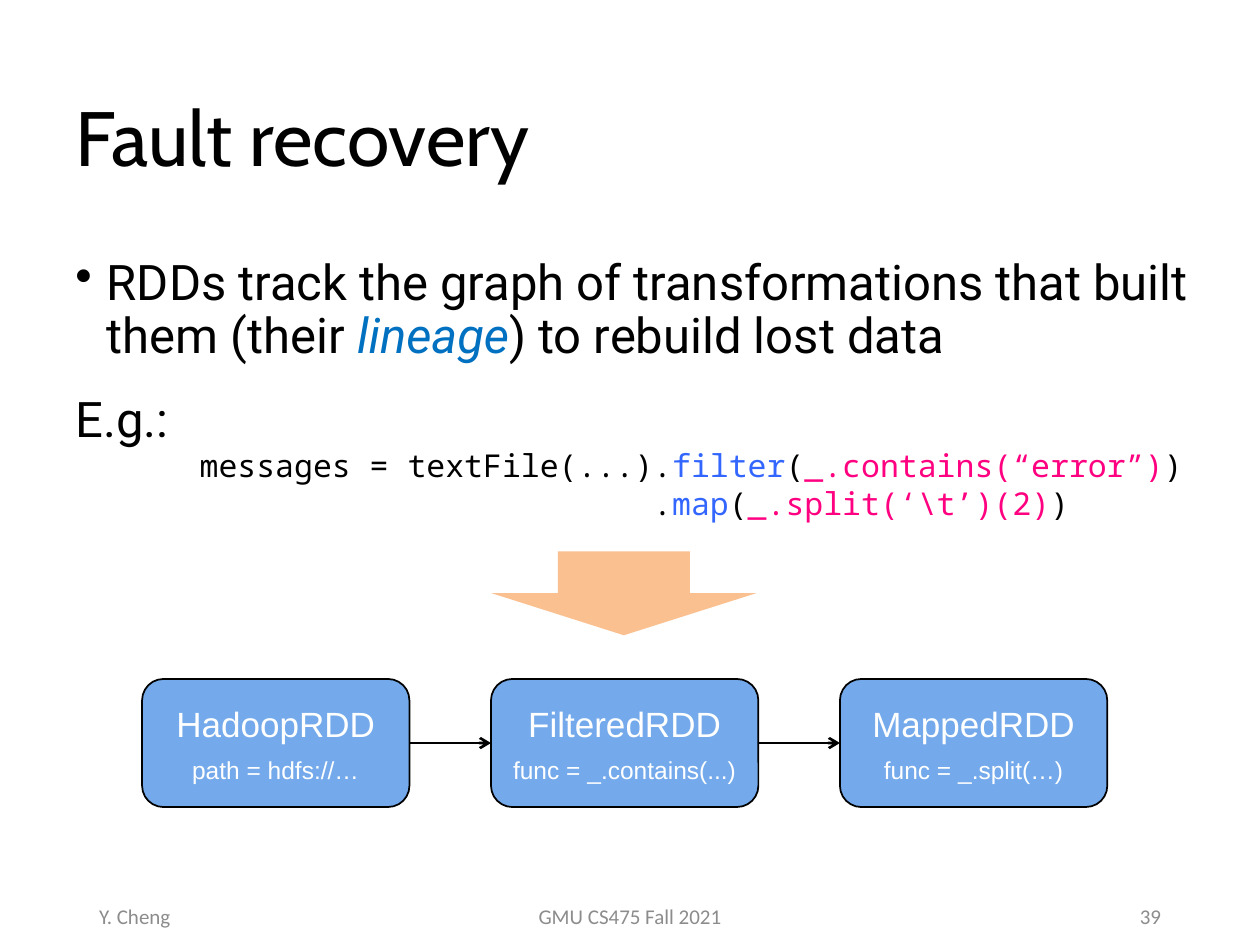
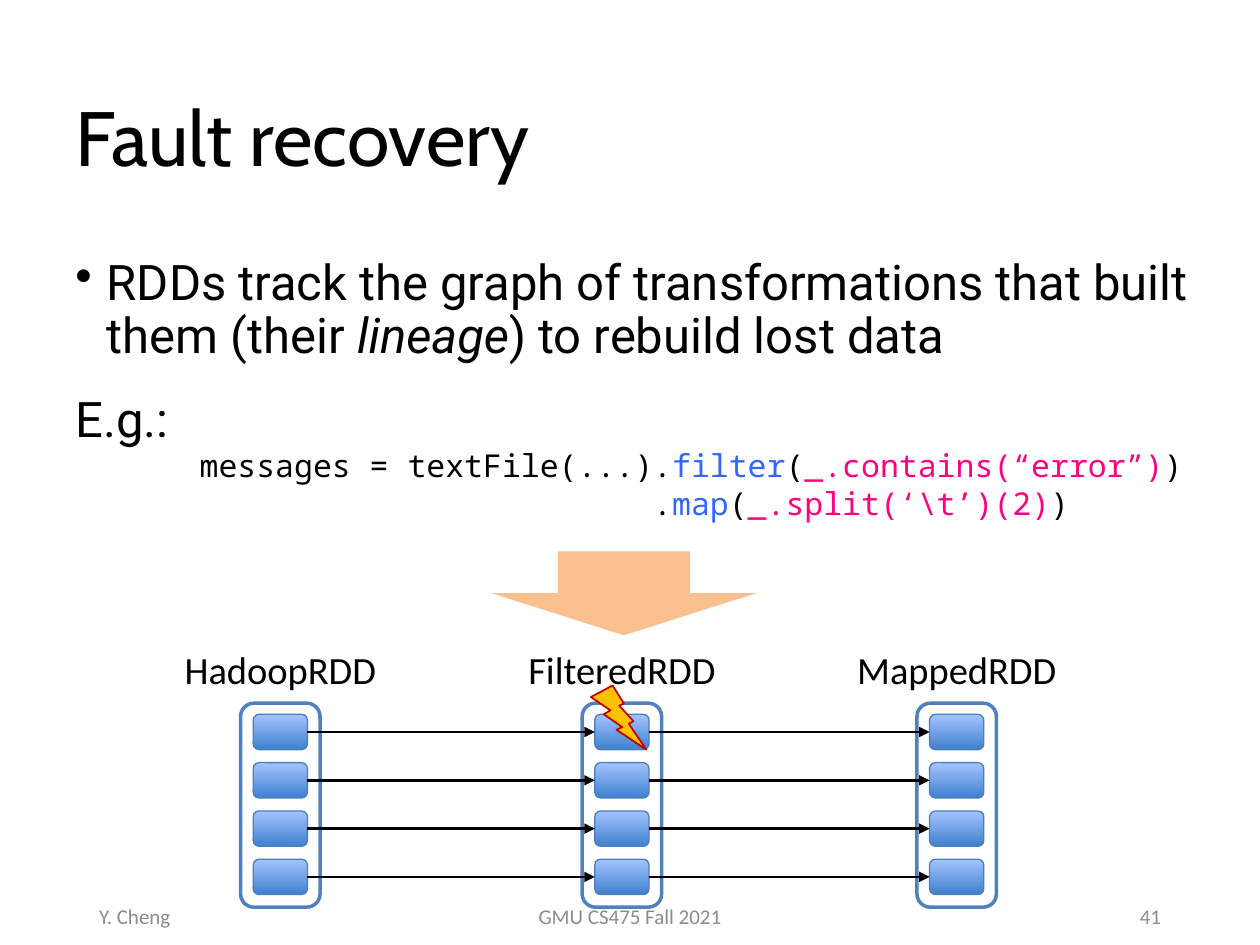
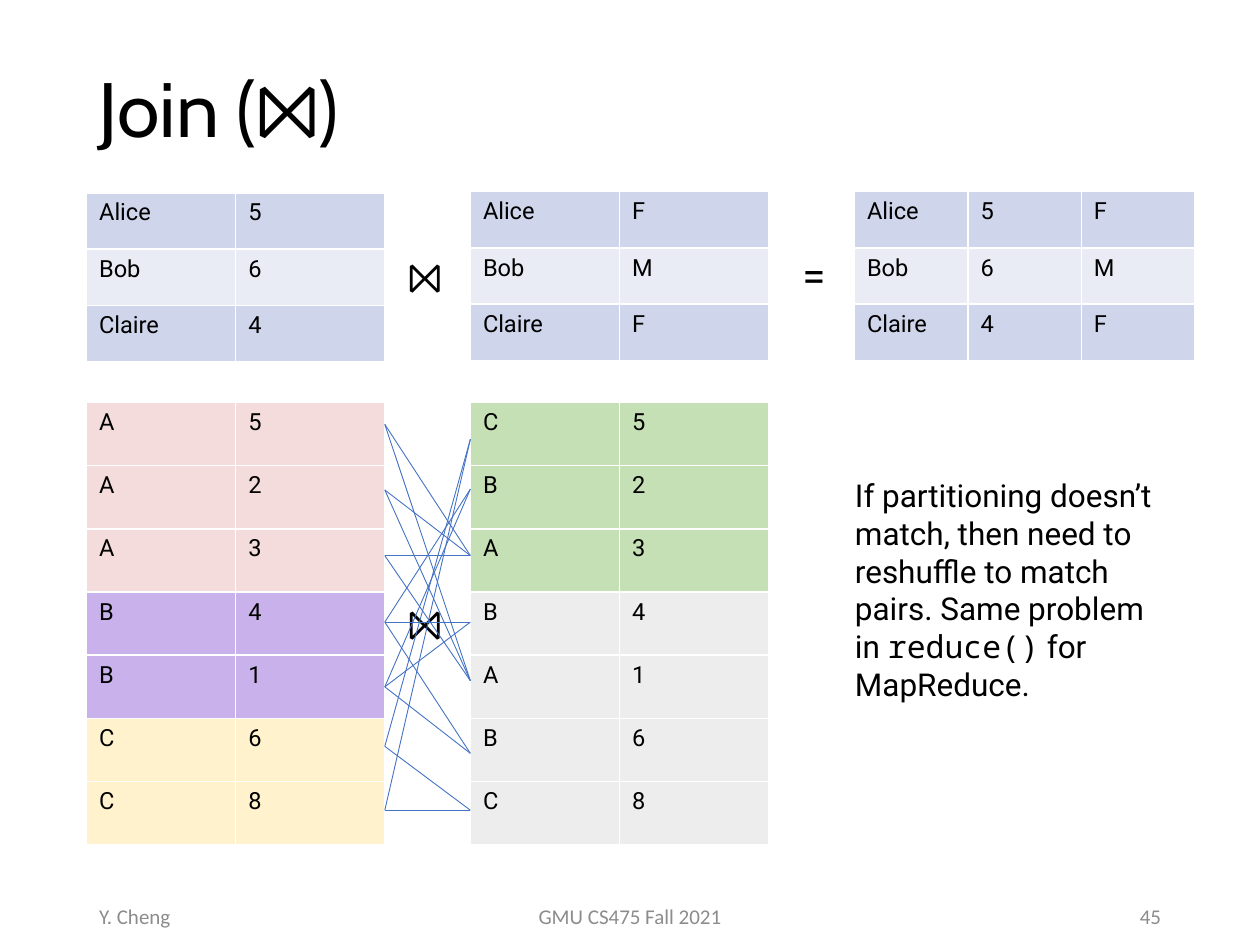
from itertools import pairwise, product

from lxml.etree import SubElement
from pptx import Presentation
from pptx.dml.color import RGBColor
from pptx.enum.shapes import MSO_CONNECTOR, MSO_SHAPE, MSO_SHAPE_TYPE
from pptx.enum.text import MSO_ANCHOR as ANCHOR, PP_ALIGN as ALIGN
from pptx.oxml.ns import qn
from pptx.util import Pt

BLACK = RGBColor(0x00, 0x00, 0x00)
WHITE = RGBColor(0xFF, 0xFF, 0xFF)
FOOTER_GRAY = RGBColor(0x8C, 0x8C, 0x8C)
LINEAGE_BLUE = RGBColor(0x00, 0x70, 0xC0)
CODE_BLUE = RGBColor(0x33, 0x66, 0xFF)
CODE_PINK = RGBColor(0xFF, 0x00, 0x80)
ARROW_ORANGE = RGBColor(0xFA, 0xC0, 0x90)
BOX_BLUE = RGBColor(0x74, 0xAA, 0xEB)
FRAME_BLUE = RGBColor(0x4F, 0x81, 0xBD)
PARTITION_EDGE = RGBColor(0x4B, 0x7E, 0xBC)
PARTITION_DARK = RGBColor(0x3F, 0x80, 0xCE)
PARTITION_LIGHT = RGBColor(0xA4, 0xC4, 0xFF)
BOLT_YELLOW = RGBColor(0xFF, 0xC0, 0x00)
BOLT_RED = RGBColor(0xC0, 0x00, 0x00)
MATCH_BLUE = RGBColor(0x44, 0x72, 0xC4)
BAND_DARK = RGBColor(0xCF, 0xD5, 0xEA)
BAND_LIGHT = RGBColor(0xE9, 0xEB, 0xF5)
ROSE = RGBColor(0xF3, 0xDC, 0xDB)
VIOLET = RGBColor(0xC9, 0xB2, 0xEC)
CREAM = RGBColor(0xFF, 0xF2, 0xCC)
GREEN = RGBColor(0xC5, 0xE0, 0xB4)
GRAY = RGBColor(0xED, 0xED, 0xED)

TITLE_FONT, BODY_FONT, CODE_FONT = "Cabin", "Roboto", "Noto Sans Mono"
FOOTER_FONT, BOX_FONT = "Calibri", "Arial"


def write(shape, paragraphs, font, size, color=BLACK, align=ALIGN.LEFT, anchor=ANCHOR.TOP):
    """Fill a shape with paragraphs, each a list of (text, run style), and return them."""
    frame = shape.text_frame
    frame.word_wrap = True
    frame.vertical_anchor = anchor
    for number, runs in enumerate(paragraphs):
        paragraph = frame.add_paragraph() if number else frame.paragraphs[0]
        paragraph.alignment = align
        paragraph.font.name = font
        paragraph.font.size = Pt(size)
        paragraph.font.color.rgb = color
        for text, style in runs:
            run = paragraph.add_run()
            run.text = text
            if "color" in style:
                run.font.color.rgb = style["color"]
            if "italic" in style:
                run.font.italic = style["italic"]
            if "font" in style:
                run.font.name = style["font"]
    return frame.paragraphs


def add_line(slide, start, end, color, width, arrow=None):
    line = slide.shapes.add_connector(MSO_CONNECTOR.STRAIGHT, *map(Pt, start + end))
    line.line.color.rgb = color
    line.line.width = Pt(width)
    if arrow:
        SubElement(line.line._get_or_add_ln(), qn("a:tailEnd"), type=arrow)
    SubElement(line._element.spPr, qn("a:effectLst"))
    return line


prs = Presentation()
prs.slide_width, prs.slide_height = Pt(720), Pt(540)
blank = prs.slide_layouts[6]

# What all slides share: the title
title_boxes = [
    ("Fault recovery", (36, 36, 648, 90)),
    ("Fault recovery", (36, 36, 648, 90)),
    ("Join (⨝)", (49.5, 12, 621, 104.4)),
]
for title, box in title_boxes:
    slide = prs.slides.add_slide(blank)
    heading = slide.shapes.add_textbox(*map(Pt, box))
    write(heading, [[(title, {})]], TITLE_FONT, 44, anchor=ANCHOR.MIDDLE)[0].line_spacing = 0.9
lineage_slide, partition_slide, join_slide = prs.slides

# Both fault recovery slides: statement, code and the arrow below it
code = [
    [("messages = textFile(...).", {}), ("filter", {"color": CODE_BLUE}), ("(", {}),
     ("_.contains(“error”)", {"color": CODE_PINK}), (")", {})],
    [(".", {}), ("map", {"color": CODE_BLUE}), ("(", {}),
     ("_.split(‘\\t’)(2)", {"color": CODE_PINK}), (")", {})],
]
for slide, lineage_color in [(lineage_slide, LINEAGE_BLUE), (partition_slide, BLACK)]:
    down_arrow = slide.shapes.add_shape(MSO_SHAPE.DOWN_ARROW, Pt(281), Pt(315), Pt(151), Pt(48))
    down_arrow.fill.solid()
    down_arrow.fill.fore_color.rgb = ARROW_ORANGE
    down_arrow.line.fill.background()

    statement = [
        [("RDDs track the graph of transformations that built them (their ", {}),
         ("lineage", {"italic": True, "color": lineage_color}),
         (") to rebuild lost data", {})],
        [("E.g.:", {})],
    ]
    body = slide.shapes.add_textbox(Pt(36), Pt(144), Pt(654), Pt(179))
    lines = write(body, statement, BODY_FONT, 28)
    for line in lines:
        line.line_spacing = 0.9
        line.space_before = Pt(18)
    bullet = lines[0]._p.get_or_add_pPr()
    bullet.set("marL", str(Pt(18)))
    bullet.set("indent", str(Pt(-18)))
    bullet.insert_element_before(
        SubElement(bullet, qn("a:buChar"), char="•"), "a:tabLst", "a:defRPr", "a:extLst")

    listing = slide.shapes.add_textbox(Pt(107), Pt(251.3), Pt(584), Pt(73))
    code_lines = write(listing, code, CODE_FONT, 18)
    code_lines[1]._p.get_or_add_pPr().set("marL", str(Pt(259.2)))  # 24 characters

# Slide 1: chain of RDDs
stages = [
    ("HadoopRDD", "path = hdfs://…"),
    ("FilteredRDD", "func = _.contains(...)"),
    ("MappedRDD", "func = _.split(…)"),
]
stage_boxes = []
for number, (stage, detail) in enumerate(stages):
    stage_box = lineage_slide.shapes.add_shape(
        MSO_SHAPE.ROUNDED_RECTANGLE, Pt(81.2 + 199.4 * number), Pt(388), Pt(152.8), Pt(73.2))
    stage_box.fill.solid()
    stage_box.fill.fore_color.rgb = BOX_BLUE
    stage_box.line.color.rgb = BLACK
    stage_box.line.width = Pt(1)
    stage_box.text_frame.margin_left = stage_box.text_frame.margin_right = 0
    name_line, detail_line = write(stage_box, [[(stage, {})], [(detail, {})]], BOX_FONT, 20,
                                   WHITE, ALIGN.CENTER, ANCHOR.MIDDLE)
    detail_line.font.size = Pt(14)
    detail_line.space_before = Pt(6)
    stage_boxes.append(stage_box)
for source, target in pairwise(stage_boxes):
    step = add_line(lineage_slide, (0, 0), (0, 0), BLACK, 1.5, "arrow")
    step.begin_connect(source, 3)
    step.end_connect(target, 1)

# Slide 2: the same chain by partition
columns = []
for (stage, _), left in zip(stages, (137.5, 332.7, 524)):
    frame = partition_slide.shapes.add_shape(
        MSO_SHAPE.ROUNDED_RECTANGLE, Pt(left), Pt(401.8), Pt(45.4), Pt(116.6))
    frame.fill.solid()
    frame.fill.fore_color.rgb = WHITE
    frame.line.color.rgb = FRAME_BLUE
    frame.line.width = Pt(2)
    partitions = []
    for row in range(4):
        partition = partition_slide.shapes.add_shape(
            MSO_SHAPE.ROUNDED_RECTANGLE, Pt(left + 7.2), Pt(408.2 + 27.6 * row), Pt(31), Pt(20.2))
        partition.fill.gradient()
        partition.fill.gradient_angle = 90
        for stop, color in zip(partition.fill.gradient_stops, (PARTITION_DARK, PARTITION_LIGHT)):
            stop.color.rgb = color
        partition.line.color.rgb = PARTITION_EDGE
        partition.line.width = Pt(0.75)
        partitions.append(partition)
    columns.append(partitions)
    label = partition_slide.shapes.add_textbox(Pt(left - 43.3), Pt(365.8), Pt(132), Pt(34))
    write(label, [[(stage, {})]], FOOTER_FONT, 22, align=ALIGN.CENTER)
for sources, targets in pairwise(columns):
    for source, target in zip(sources, targets):
        step = add_line(partition_slide, (0, 0), (0, 0), BLACK, 1.5, "triangle")
        step.begin_connect(source, 3)
        step.end_connect(target, 1)
bolt = partition_slide.shapes.add_shape(
    MSO_SHAPE.LIGHTNING_BOLT, Pt(337.7), Pt(391.7), Pt(31.7), Pt(36.7))
bolt.fill.solid()
bolt.fill.fore_color.rgb = BOLT_YELLOW
bolt.line.color.rgb = BOLT_RED
bolt.line.width = Pt(1)

# Slide 3: joined tables, as (left, top, column width, row height, rows, row colours)
bands = [BAND_DARK, BAND_LIGHT, BAND_DARK]
left_rows = ["A5", "A2", "A3", "B4", "B1", "C6", "C8"]
right_rows = ["C5", "B2", "A3", "B4", "A1", "B6", "C8"]
tables = [
    (49.5, 110.2, 85.2, 32.2, [("Alice", "5"), ("Bob", "6"), ("Claire", "4")], bands),
    (268.8, 109.5, 85.2, 32.2, [("Alice", "F"), ("Bob", "M"), ("Claire", "F")], bands),
    (488.3, 109.5, 64.8, 32.2,
     [("Alice", "5", "F"), ("Bob", "6", "M"), ("Claire", "4", "F")], bands),
    (49.5, 230, 85.2, 36.1, left_rows, [ROSE] * 3 + [VIOLET] * 2 + [CREAM] * 2),
    (268.8, 230, 85.2, 36.1, right_rows, [GREEN] * 3 + [GRAY] * 4),
]
for left, top, column_width, row_height, rows, colors in tables:
    width = len(rows[0])
    table = join_slide.shapes.add_table(
        len(rows), width, Pt(left), Pt(top),
        Pt(column_width * width), Pt(row_height * len(rows))).table
    table.first_row = table.horz_banding = False
    for column in table.columns:
        column.width = Pt(column_width)
    for row, values, color in zip(table.rows, rows, colors):
        row.height = Pt(row_height)
        for cell, value in zip(row.cells, values):
            for side in ("a:lnL", "a:lnR", "a:lnT", "a:lnB"):
                border = SubElement(cell._tc.get_or_add_tcPr(), qn(side), w=str(Pt(1)))
                SubElement(SubElement(border, qn("a:solidFill")), qn("a:srgbClr"), val=str(WHITE))
            cell.fill.solid()
            cell.fill.fore_color.rgb = color
            write(cell, [[(value, {})]], BODY_FONT, 13.5)

for symbol, left, top in [("⨝", 226, 139.7), ("=", 451.5, 139), ("⨝", 226, 337.7)]:
    operator = join_slide.shapes.add_textbox(Pt(left), Pt(top), Pt(36), Pt(36))
    write(operator, [[(symbol, {})]], BODY_FONT, 24)

# Every pair of rows with the same key is matched
left_ends = zip(left_rows, (242.5, 280, 317.5, 355.5, 392.5, 426.5, 463))
right_ends = zip(right_rows, (251, 279.5, 317.5, 355.5, 389, 430.5, 463))
for (left_row, left_y), (right_row, right_y) in product(left_ends, right_ends):
    if left_row[0] == right_row[0]:
        add_line(join_slide, (219.9, left_y), (268.8, right_y), MATCH_BLUE, 0.5)

remark = join_slide.shapes.add_textbox(Pt(481.5), Pt(268.5), Pt(189), Pt(138))
write(remark, [[
    ("If partitioning doesn’t match, then need to reshuffle to match pairs. Same problem in ", {}),
    ("reduce()", {"font": CODE_FONT}),
    (" for MapReduce.", {}),
]], BODY_FONT, 18)

# Footers go on top of everything; no shape keeps its shadow
for slide, page in zip(prs.slides, ("39", "41", "45")):
    footers = [
        ("Y. Cheng", 49.5, 162, ALIGN.LEFT),
        ("GMU CS475 Fall 2021", 238.5, 243, ALIGN.CENTER),
        (page, 508.5, 162, ALIGN.RIGHT),
    ]
    for text, left, width, align in footers:
        footer = slide.shapes.add_textbox(Pt(left), Pt(509.3), Pt(width), Pt(28.7))
        write(footer, [[(text, {})]], FOOTER_FONT, 12, FOOTER_GRAY, align, ANCHOR.MIDDLE)
    for shape in slide.shapes:
        if shape.shape_type == MSO_SHAPE_TYPE.AUTO_SHAPE:
            shape.shadow.inherit = False

prs.save("out.pptx")
